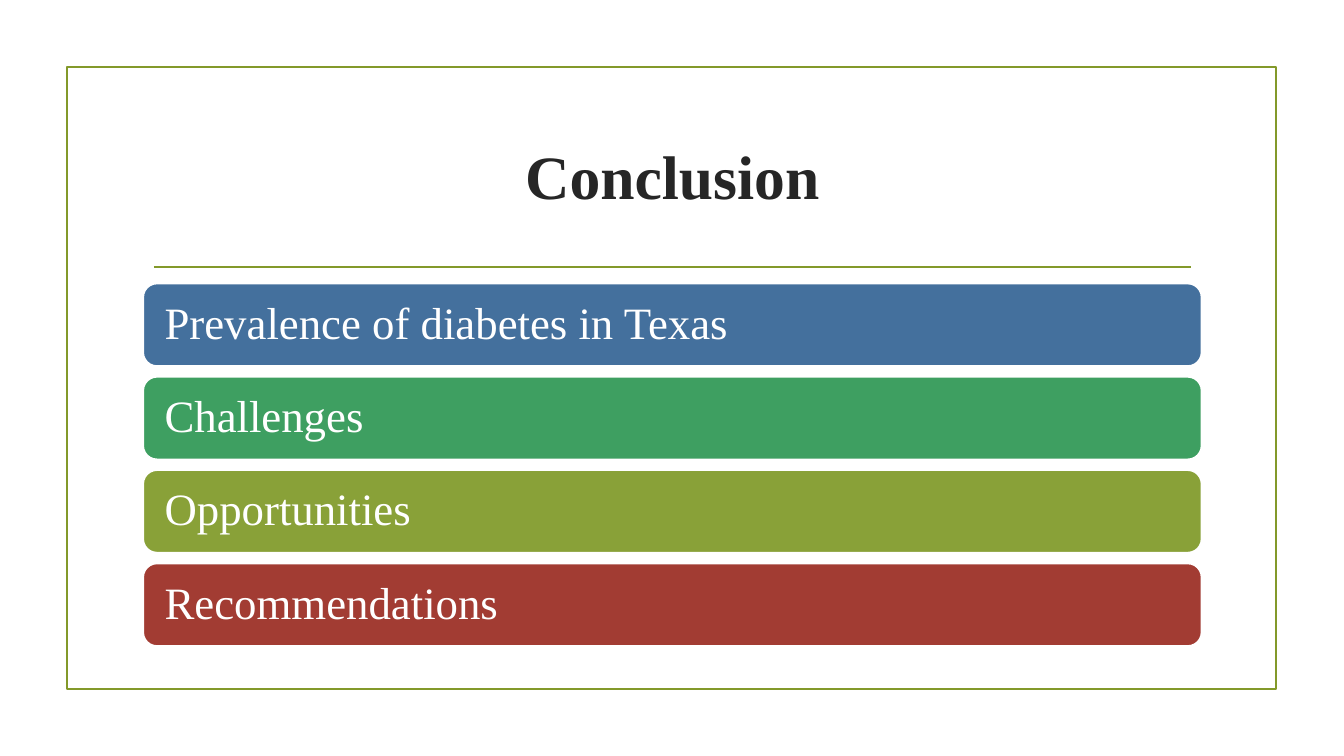
"""Build the conclusion slide with four coloured topic bars."""
from dataclasses import dataclass

import lxml.etree
import pptx
import pptx.dml.color
import pptx.enum.shapes
import pptx.enum.text
import pptx.oxml.ns
import pptx.util

Pt = pptx.util.Pt
Shapes = pptx.enum.shapes.MSO_SHAPE
Align = pptx.enum.text.PP_ALIGN


@dataclass(frozen=True)
class Theme:
    font: str = "Times New Roman"
    ink: str = "262626"
    accent: str = "83992A"
    white: str = "FFFFFF"
    blue: str = "44709D"
    green: str = "3E9F61"
    olive: str = "89A138"
    red: str = "A23C33"
    title_size: float = 44
    topic_size: float = 32
    line_width: float = 1.25


class SlideBuilder:
    def __init__(self, slide, theme):
        self.shapes = slide.shapes
        self.theme = theme

    def outline(self, line, color):
        line.color.rgb = pptx.dml.color.RGBColor.from_string(color)
        line.width = Pt(self.theme.line_width)

    def panel(self, kind, box, line, fill=None):
        panel = self.shapes.add_shape(kind, *map(Pt, box))
        panel.shadow.inherit = False
        if fill:
            panel.fill.solid()
            panel.fill.fore_color.rgb = pptx.dml.color.RGBColor.from_string(fill)
        else:
            panel.fill.background()
        self.outline(panel.line, line)
        return panel

    def rule(self, left, right, y):
        rule = self.shapes.add_connector(
            pptx.enum.shapes.MSO_CONNECTOR.STRAIGHT, Pt(left), Pt(y), Pt(right), Pt(y))
        self.outline(rule.line, self.theme.accent)
        lxml.etree.SubElement(rule.element.spPr, pptx.oxml.ns.qn("a:effectLst"))

    def label(self, frame, text, size, color, align, bold=False):
        frame.word_wrap = True
        frame.vertical_anchor = pptx.enum.text.MSO_ANCHOR.MIDDLE
        paragraph = frame.paragraphs[0]
        paragraph.alignment = align
        paragraph.line_spacing = 0.9
        run = paragraph.add_run()
        run.text = text
        run.font.name = self.theme.font
        run.font.size = Pt(size)
        run.font.bold = bold
        run.font.color.rgb = pptx.dml.color.RGBColor.from_string(color)

    def title(self, text, box):
        heading = self.shapes.add_textbox(*map(Pt, box))
        self.label(heading.text_frame, text, self.theme.title_size,
                   self.theme.ink, Align.CENTER, bold=True)

    def topic(self, text, box, fill):
        bar = self.panel(Shapes.ROUNDED_RECTANGLE, box, self.theme.white, fill)
        frame = bar.text_frame
        frame.margin_left = frame.margin_right = Pt(12.4)
        frame.margin_top = frame.margin_bottom = Pt(9.4)
        self.label(frame, text, self.theme.topic_size, self.theme.white, Align.LEFT)


def main():
    presentation = pptx.Presentation()
    presentation.slide_width = Pt(960)
    presentation.slide_height = Pt(540)
    theme = Theme()
    conclusion = SlideBuilder(
        presentation.slides.add_slide(presentation.slide_layouts[6]), theme)

    conclusion.panel(Shapes.RECTANGLE, (47.7, 48, 864, 444), theme.accent)
    conclusion.rule(110, 850.5, 190.7)
    conclusion.title("Conclusion", (102.3, 77, 756, 103))

    topics = [
        ("Prevalence of diabetes in Texas", theme.blue),
        ("Challenges", theme.green),
        ("Opportunities", theme.olive),
        ("Recommendations", theme.red),
    ]
    first_top, pitch = 202.5, 66.65
    for index, (topic, color) in enumerate(topics):
        conclusion.topic(topic, (102.3, first_top + index * pitch, 756, 59), color)

    presentation.save("out.pptx")


if __name__ == "__main__":
    main()
